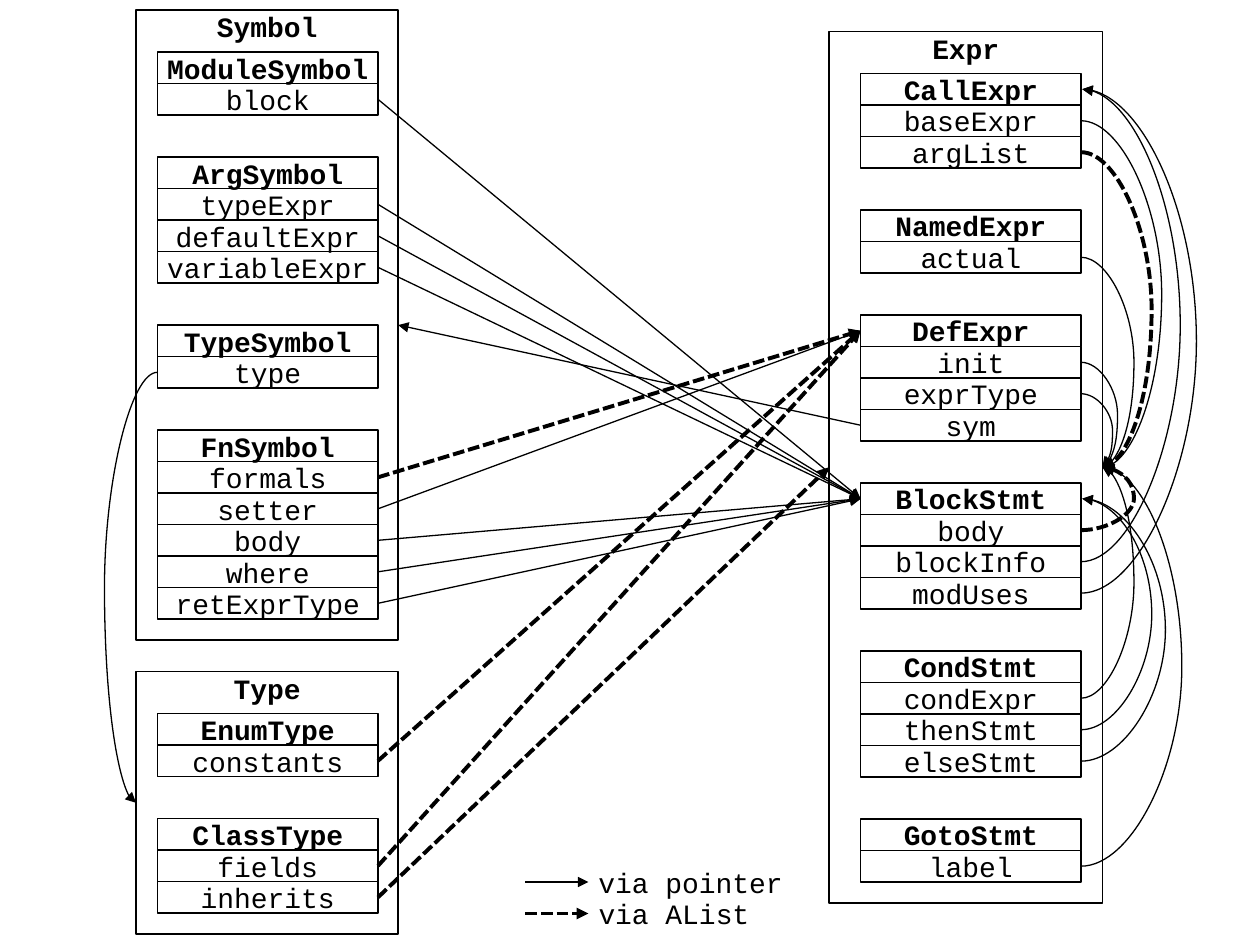
from pptx import Presentation
from pptx import util as u
from pptx.dml.color import RGBColor
from pptx.enum import dml, shapes, text
from pptx.oxml import parse_xml
from pptx.oxml.ns import nsdecls, qn

BLACK = RGBColor(0, 0, 0)
FONT = "Courier New"
ROW_W, ROW_H = 1.75, 0.25
GAP, PAD = 1 / 3, 1 / 6
LEFT, RIGHT = 1, 3

FRAMES = [
    ("Symbol", 1.08, 0.08, 2.08, 1.25, [
        ("ModuleSymbol", ["block"]),
        ("ArgSymbol", ["typeExpr", "defaultExpr", "variableExpr"]),
        ("TypeSymbol", ["type"]),
        ("FnSymbol", ["formals", "setter", "body", "where", "retExprType"]),
    ]),
    ("Type", 1.08, 5.33, 2.08, 1.25, [
        ("EnumType", ["constants"]),
        ("ClassType", ["fields", "inherits"]),
    ]),
    ("Expr", 6.58, 0.25, 2.17, 6.83, [
        ("CallExpr", ["baseExpr", "argList"]),
        ("NamedExpr", ["actual"]),
        ("DefExpr", ["init", "exprType", "sym"]),
        ("BlockStmt", ["body", "blockInfo", "modUses"]),
        ("CondStmt", ["condExpr", "thenStmt", "elseStmt"]),
        ("GotoStmt", ["label"]),
    ]),
]
STRAIGHT = [
    ("ModuleSymbol.block", "BlockStmt", False),
    ("ArgSymbol.typeExpr", "BlockStmt", False),
    ("ArgSymbol.defaultExpr", "BlockStmt", False),
    ("ArgSymbol.variableExpr", "BlockStmt", False),
    ("FnSymbol.formals", "DefExpr", True),
    ("FnSymbol.setter", "DefExpr", False),
    ("FnSymbol.body", "BlockStmt", False),
    ("FnSymbol.where", "BlockStmt", False),
    ("FnSymbol.retExprType", "BlockStmt", False),
    ("EnumType.constants", "DefExpr", True),
    ("ClassType.fields", "DefExpr", True),
    ("ClassType.inherits", "Expr", True),
]
CURVED = [
    ("TypeSymbol.type", "Type", LEFT, 0.83, False),
    ("CallExpr.baseExpr", "Expr", RIGHT, 9.22, False),
    ("CallExpr.argList", "Expr", RIGHT, 9.14, True),
    ("NamedExpr.actual", "Expr", RIGHT, 9, False),
    ("DefExpr.init", "Expr", RIGHT, 8.87, False),
    ("DefExpr.exprType", "Expr", RIGHT, 8.83, False),
    ("BlockStmt.body", "Expr", RIGHT, 9, True),
    ("BlockStmt.blockInfo", "CallExpr", RIGHT, 9.38, False),
    ("BlockStmt.modUses", "CallExpr", RIGHT, 9.51, False),
    ("CondStmt.condExpr", "Expr", RIGHT, 9, False),
    ("CondStmt.thenStmt", "BlockStmt", RIGHT, 9.15, False),
    ("CondStmt.elseStmt", "BlockStmt", RIGHT, 9.26, False),
    ("GotoStmt.label", "Expr", RIGHT, 9.38, False),
]
LEGEND = [("via pointer", 7, 1.67, False), ("via AList", 7.25, 1.42, True)]


def write(sp, label, bold, align, anchor):
    tf = sp.text_frame
    tf.word_wrap = True
    tf.margin_left = tf.margin_right = tf.margin_top = tf.margin_bottom = 0
    tf.vertical_anchor = anchor
    p = tf.paragraphs[0]
    p.text = label
    p.alignment = align
    p.font.name, p.font.size, p.font.bold = FONT, u.Pt(16), bold
    p.font.color.rgb = BLACK


def box(s, label, x, y, w, h, bold=False, anchor=text.MSO_ANCHOR.MIDDLE):
    sp = s.shapes.add_shape(shapes.MSO_SHAPE.RECTANGLE, *map(u.Inches, (x, y, w, h)))
    sp.shadow.inherit = False
    sp.fill.background()
    sp.line.color.rgb = BLACK
    sp.line.width = u.Pt(1)
    write(sp, label, bold, text.PP_ALIGN.CENTER, anchor)
    return sp


def arrow(s, kind, start, end, dashed, width=0.75):
    c = s.shapes.add_connector(kind, *start, *end)
    c.line.color.rgb = BLACK
    c.line.width = u.Pt(2.25 if dashed else width)
    if dashed:
        c.line.dash_style = dml.MSO_LINE.SQUARE_DOT
    c.line._get_or_add_ln().append(parse_xml(f'<a:tailEnd {nsdecls("a")} type="triangle"/>'))
    c._element.spPr.append(parse_xml(f'<a:effectLst {nsdecls("a")}/>'))
    return c


def side(sp, site):
    return sp.left + (sp.width if site == RIGHT else 0), sp.top + sp.height // 2


def straight(s, source, target, sites, dashed):
    c = arrow(s, shapes.MSO_CONNECTOR.STRAIGHT, side(source, sites[0]), side(target, sites[1]), dashed)
    c.begin_connect(source, sites[0])
    c.end_connect(target, sites[1])


def curved(s, source, target, site, bulge, dashed):
    start, end = side(source, site), side(target, site)
    if start[0] == end[0]:
        end = end[0] + u.Inches(0.01), end[1]
    c = arrow(s, shapes.MSO_CONNECTOR.CURVE, start, end, dashed)
    adj = round((u.Inches(bulge) - start[0]) / (end[0] - start[0]) * 100000)
    geom = c._element.spPr.find(qn("a:prstGeom"))
    geom.get_or_add_avLst().append(
        parse_xml(f'<a:gd {nsdecls("a")} name="adj1" fmla="val {adj}"/>'))


def main():
    prs = Presentation()
    prs.slide_width, prs.slide_height = u.Inches(10), u.Inches(7.5)
    s = prs.slides.add_slide(prs.slide_layouts[6])

    boxes = {}
    for frame, x, top, w, row_x, classes in FRAMES:
        rows = sum(1 + len(fields) for _, fields in classes)
        h = rows * ROW_H + len(classes) * GAP + PAD
        boxes[frame] = box(s, frame, x, top, w, h, True, text.MSO_ANCHOR.TOP)
        y = top
        for name, fields in classes:
            y += GAP
            boxes[name] = box(s, name, row_x, y, ROW_W, ROW_H, True)
            y += ROW_H
            for field in fields:
                boxes[f"{name}.{field}"] = box(s, field, row_x, y, ROW_W, ROW_H)
                y += ROW_H

    for source, target, dashed in STRAIGHT:
        straight(s, boxes[source], boxes[target], (RIGHT, LEFT), dashed)
    straight(s, boxes["DefExpr.sym"], boxes["Symbol"], (LEFT, RIGHT), False)
    for source, target, site, bulge, dashed in CURVED:
        curved(s, boxes[source], boxes[target], site, bulge, dashed)

    for label, y, w, dashed in LEGEND:
        start, end = (u.Inches(4.17), u.Inches(y)), (u.Inches(4.67), u.Inches(y))
        arrow(s, shapes.MSO_CONNECTOR.STRAIGHT, start, end, dashed, 1)
        tb = s.shapes.add_textbox(*map(u.Inches, (4.75, y - PAD, w, GAP)))
        write(tb, label, False, text.PP_ALIGN.LEFT, text.MSO_ANCHOR.MIDDLE)

    prs.save("out.pptx")


if __name__ == "__main__":
    main()
